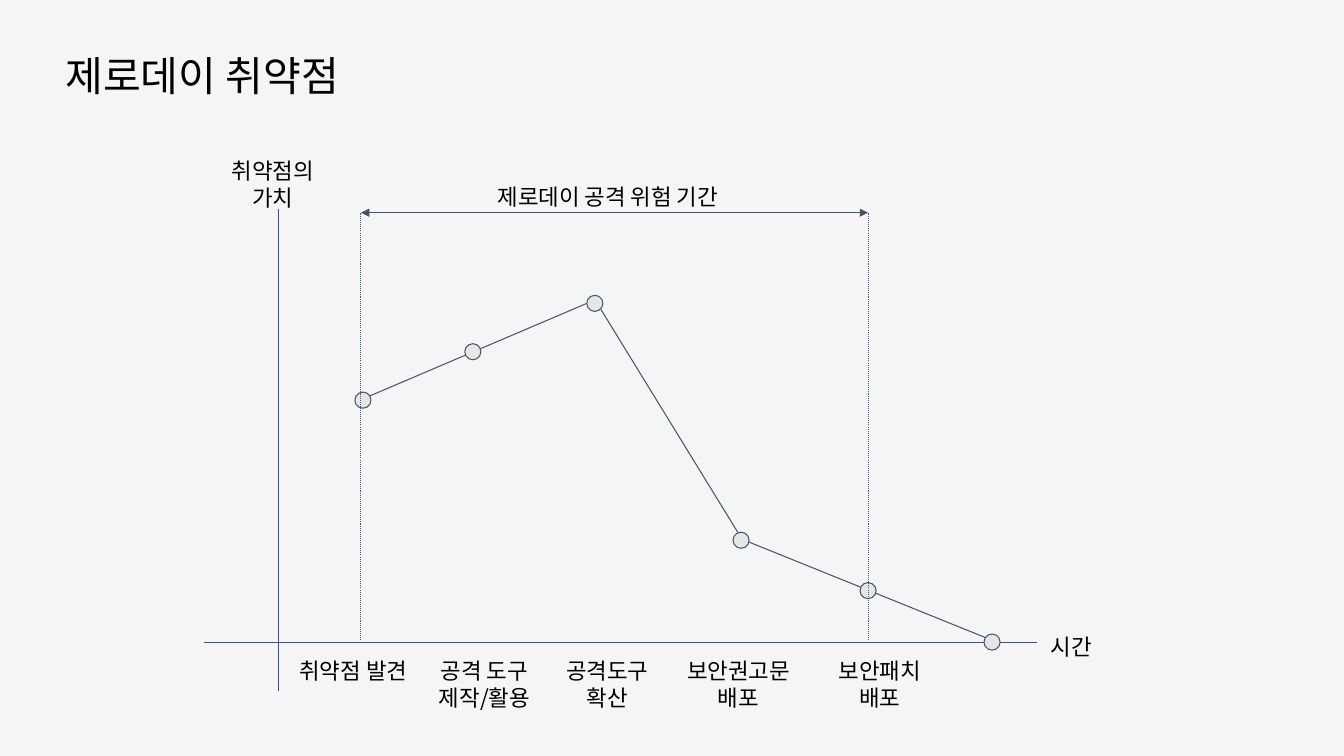
from dataclasses import dataclass

from lxml import etree
from pptx import Presentation
from pptx import util as u
from pptx.dml.color import RGBColor
from pptx.enum import dml, shapes, text
from pptx.oxml.ns import qn

PX = 9144  # EMU, 100 px to the inch
FONT = "Noto Sans CJK KR"
BLACK, NAVY, GREY, PAPER = "000000", "44546A", "E7E6E6", "F5F5F5"
INSET = 13
DOT = 16
LABEL_WIDTH, LABEL_HEIGHT = 163, 71
STAGE_TOP = 639
AXIS_Y = 637
RISK_LEFT, RISK_RIGHT, RISK_TOP = 358, 861, 211


@dataclass(frozen=True)
class Line:
    x1: int
    y1: int
    x2: int
    y2: int
    dotted: bool = False
    arrows: bool = False


@dataclass(frozen=True)
class Label:
    left: int
    top: int
    content: str
    width: int = LABEL_WIDTH


AXES_AND_CURVE = [
    Line(202, AXIS_Y, 1029, AXIS_Y),
    Line(276, 686, 276, 207),
    Line(357, 397, 582, 301),
    Line(596, 307, 736, 535),
    Line(736, 535, 986, 636),
]
RISK_PERIOD = [
    Line(RISK_LEFT, 635, RISK_LEFT, RISK_TOP, dotted=True),
    Line(RISK_RIGHT, 635, RISK_RIGHT, RISK_TOP, dotted=True),
    Line(RISK_RIGHT, RISK_TOP, RISK_LEFT, RISK_TOP, arrows=True),
]
DOTS = [(352, 389), (461, 341), (582, 293), (727, 528), (853, 578), (976, 629)]
LABELS = [
    Label(269, STAGE_TOP, "취약점 발견"),
    Label(399, STAGE_TOP, "공격 도구\n제작/활용"),
    Label(521, STAGE_TOP, "공격도구\n확산"),
    Label(651, STAGE_TOP, "보안권고문\n배포"),
    Label(791, STAGE_TOP, "보안패치\n배포"),
    Label(981, 615, "시간"),
    Label(189, 143, "취약점의\n가치"),
    Label(410, 169, "제로데이 공격 위험 기간", width=386),
]


def px(length: int) -> u.Emu:
    return u.Emu(length * PX)


def color(code: str) -> RGBColor:
    return RGBColor.from_string(code)


def write(box, content: str, *, size: float, align) -> None:
    frame = box.text_frame
    frame.word_wrap = True
    frame.auto_size = text.MSO_AUTO_SIZE.NONE
    frame.vertical_anchor = text.MSO_ANCHOR.TOP
    frame.margin_left = frame.margin_right = px(INSET)
    frame.margin_top = frame.margin_bottom = px(INSET)
    frame.text = content
    for para in frame.paragraphs:
        para.alignment = align
        para.line_spacing = 1.0
        para.space_before = u.Pt(0)
        for span in para.runs:
            span.font.size = u.Pt(size)
            span.font.name = FONT
            span.font.color.rgb = color(BLACK)
            east_asian = etree.SubElement(span.font._element, qn("a:ea"))
            east_asian.set("typeface", FONT)


def draw_line(page, line: Line) -> None:
    connector = page.shapes.add_connector(
        shapes.MSO_CONNECTOR.STRAIGHT,
        px(line.x1), px(line.y1), px(line.x2), px(line.y2),
    )
    connector.line.color.rgb = color(NAVY)
    connector.line.width = u.Pt(0.75)
    if line.dotted:
        connector.line.dash_style = dml.MSO_LINE.ROUND_DOT
    if line.arrows:
        outline = connector.line._get_or_add_ln()
        for end in ("a:headEnd", "a:tailEnd"):
            etree.SubElement(outline, qn(end)).set("type", "triangle")
    etree.SubElement(connector._element.spPr, qn("a:effectLst"))


def draw_dot(page, left: int, top: int) -> None:
    dot = page.shapes.add_shape(
        shapes.MSO_SHAPE.OVAL, px(left), px(top), px(DOT), px(DOT)
    )
    dot.shadow.inherit = False
    dot.fill.solid()
    dot.fill.fore_color.rgb = color(GREY)
    dot.line.color.rgb = color(NAVY)
    dot.line.width = u.Pt(0.75)


def draw_label(page, label: Label) -> None:
    box = page.shapes.add_textbox(
        px(label.left), px(label.top), px(label.width), px(LABEL_HEIGHT)
    )
    write(box, label.content, size=16, align=text.PP_ALIGN.CENTER)


def main() -> None:
    deck = Presentation()
    deck.slide_width, deck.slide_height = px(1333), px(750)
    page = deck.slides.add_slide(deck.slide_layouts.get_by_name("Title Only"))
    page.background.fill.solid()
    page.background.fill.fore_color.rgb = color(PAPER)

    title = page.shapes.title
    title.left, title.top, title.width, title.height = map(px, (52, 37, 650, 76))
    write(title, "제로데이 취약점", size=29.3, align=text.PP_ALIGN.LEFT)

    for line in AXES_AND_CURVE:
        draw_line(page, line)
    for left, top in DOTS:
        draw_dot(page, left, top)
    for line in RISK_PERIOD:
        draw_line(page, line)
    for label in LABELS:
        draw_label(page, label)

    deck.save("out.pptx")


if __name__ == "__main__":
    main()
